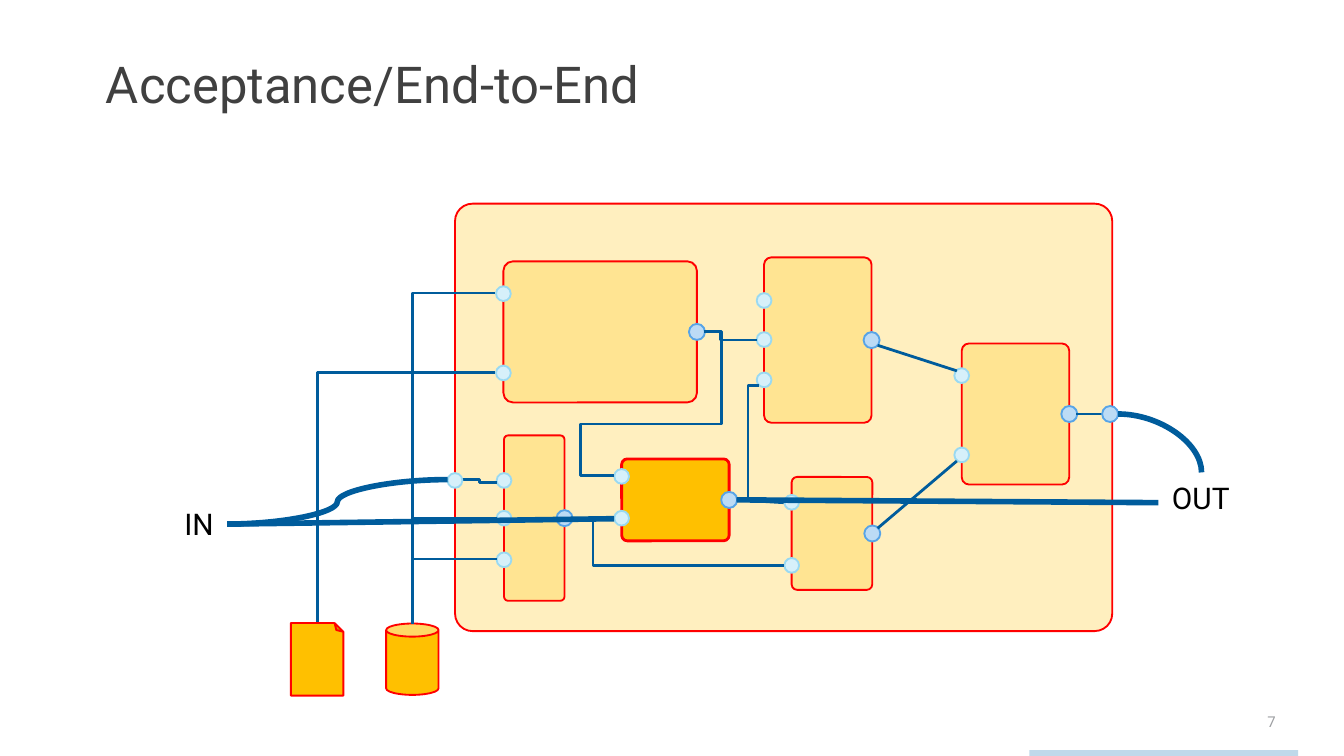
from lxml import etree
from pptx import Presentation
from pptx.dml.color import RGBColor
from pptx.enum.shapes import MSO_CONNECTOR as MC, MSO_SHAPE as MS
from pptx.enum.text import MSO_ANCHOR as MA, PP_ALIGN as PA
from pptx.oxml.ns import qn
from pptx.util import Pt


def color(value):
    return RGBColor.from_string(value)


def write(tf, text, size=16, fill="000000", font="Roboto", align=PA.LEFT,
          anchor=MA.TOP, wrap=True, spacing=None):
    tf.word_wrap = wrap
    tf.vertical_anchor = anchor
    p = tf.paragraphs[0]
    p.alignment = align
    if spacing:
        p.line_spacing = spacing
    r = p.add_run()
    r.text = text
    r.font.name, r.font.size = font, Pt(size)
    r.font.color.rgb = color(fill)


class Diagram:
    AMBER, RED, BLUE = "FFC000", "FF0000", "005C9C"
    IN_PORT = (7.9, "D6F0FA", "99D9F2")
    OUT_PORT = (8.6, "BCDBF5", "57A4E7")

    def __init__(self, slide):
        self.s = slide

    def shape(self, kind, cx, cy, w, h, fill, line=None, weight=1, rot=0,
              adj=None, alpha=None):
        """Draw a preset shape around its centre; w and h are before rotation."""
        sp = self.s.shapes.add_shape(kind, Pt(cx - w / 2), Pt(cy - h / 2), Pt(w), Pt(h))
        sp.shadow.inherit = False
        sp.rotation = rot
        if adj is not None:
            sp.adjustments[0] = adj
        sp.fill.solid()
        sp.fill.fore_color.rgb = color(fill)
        if alpha:
            clr = sp.fill._xPr.find(qn("a:solidFill"))[0]
            etree.SubElement(clr, qn("a:alpha")).set("val", str(alpha * 1000))
        if line:
            sp.line.color.rgb = color(line)
            sp.line.width = Pt(weight)
        else:
            sp.line.fill.background()

    def port(self, cx, cy, style):
        d, fill, line = style
        self.shape(MS.OVAL, cx, cy, d, d, fill, line, rot=90)

    def box(self, cx, cy, w, h, adj=0.068, **fmt):
        """Rounded box, turned a quarter: w and h are as seen."""
        self.shape(MS.ROUNDED_RECTANGLE, cx, cy, h, w, self.AMBER, self.RED,
                   rot=90, adj=adj, **fmt)

    def block(self, cx, cy, w, h, inputs, **fmt):
        """Box with input ports on its left edge and one output on the right."""
        self.box(cx, cy, w, h, **fmt)
        for y in inputs:
            self.port(cx - w / 2, y, self.IN_PORT)
        self.port(cx + w / 2, cy, self.OUT_PORT)

    def wire(self, start, end, kind=MC.STRAIGHT, preset=None, adj=(), weight=1.5):
        c = self.s.shapes.add_connector(kind, *(Pt(v) for v in start + end))
        c.line.color.rgb = color(self.BLUE)
        c.line.width = Pt(weight)
        pr = c._element.spPr
        geom = pr.find(qn("a:prstGeom"))
        if preset:
            geom.set("prst", preset)
        for i, value in enumerate(adj, 1):
            gd = etree.SubElement(geom.find(qn("a:avLst")), qn("a:gd"))
            gd.set("name", f"adj{i}")
            gd.set("fmla", f"val {round(value * 100000)}")
        etree.SubElement(pr, qn("a:effectLst"))

    def text(self, x, y, w, h, text, **fmt):
        tb = self.s.shapes.add_textbox(Pt(x), Pt(y), Pt(w), Pt(h))
        write(tb.text_frame, text, **fmt)


def main():
    prs = Presentation()
    prs.slide_width, prs.slide_height = Pt(720), Pt(405)
    d = Diagram(prs.slides.add_slide(prs.slide_layouts[6]))

    # Footer and title
    d.text(671.8, 378, 34.6, 23.8, "7", size=8, fill="9D9FA2")
    d.shape(MS.RECTANGLE, 623.5, 403.6, 144, 3.6, "BFD9EA")
    d.text(49.7, 28.8, 644.4, 36, "Acceptance/End-to-End", size=27.2,
           fill="404040", anchor=MA.MIDDLE, spacing=0.9)

    # System and its components
    d.box(419.8, 223.6, 352.1, 229, adj=0.041, alpha=25)
    for block in [
        (544, 221.8, 57.6, 75.6, (201.2, 243.7)),
        (445.7, 285.8, 43.2, 60.5, (269.1, 302.9)),
        (438.1, 182.2, 57.6, 88.6, (161, 181.9, 203.5)),
        (321.5, 177.8, 103.7, 75.6, (157.3, 199.8)),
        (286.2, 277.6, 32.4, 88.6, (257.4, 277.6, 299.9)),
    ]:
        d.block(*block, alpha=23)
    d.block(361.8, 267.8, 57.6, 43.9, (255.2, 277.6), weight=1.5)

    # Straight wires between components
    for start, end in [
        ((470.2, 185), (512.6, 198.7)),
        ((470.2, 283), (512.6, 247)),
        ((394.6, 267.8), (419.8, 269.3)),
        ((306.7, 277.9), (329, 277.9)),
        ((576.7, 221.8), (590.4, 221.8)),
    ]:
        d.wire(start, end)

    # Elbow wires between components
    for start, end, *adj in [
        ((377.3, 177.8), (405.4, 182.2), 0.31),
        ((394.6, 267.8), (406.8, 206.6), 0.5),
        ((306.7, 277.9), (419.8, 303.1), 0.097),
        ((247.7, 257), (266.4, 258.5), 0.5),
    ]:
        d.wire(start, end, MC.ELBOW, adj=adj)
    d.wire((377.3, 177.8), (329, 254.9), MC.ELBOW, "bentConnector5",
           (-0.19, 0.641, 1.374))

    # Data file and database with their feeds
    file_x, db_x, top = 169.9, 220.9, 334.1
    d.shape(MS.CAN, db_x, 353.2, 28.1, 38.2, d.AMBER, d.RED)
    for x, port in [
        (db_x, (266.4, 299.5)),
        (db_x, (266.4, 277.9)),
        (db_x, (265, 157)),
        (file_x, (265, 199.4)),
    ]:
        d.wire(port, (x, top), MC.ELBOW, "bentConnector2")
    d.shape(MS.FOLDED_CORNER, file_x, 353.2, 38.9, 28.1, d.AMBER, d.RED, rot=270)

    # System input and output
    d.text(87.8, 267.1, 33.8, 27.4, "IN", align=PA.RIGHT, wrap=False)
    d.text(620.6, 253.4, 45.4, 27.4, "OUT", align=PA.CENTER, wrap=False)
    d.port(594.7, 221.8, d.OUT_PORT)
    d.port(243.7, 257.4, d.IN_PORT)
    source = (121.7, 280.8)
    d.wire((599, 221.8), (643.7, 253.1), MC.CURVE, "curvedConnector2", weight=3)
    d.wire(source, (239.8, 257), MC.CURVE, adj=(0.5,), weight=3)
    d.wire(source, (329, 277.9), weight=3)
    d.wire((394.6, 267.8), (620.6, 269.3), weight=3)

    prs.save("out.pptx")


if __name__ == "__main__":
    main()
